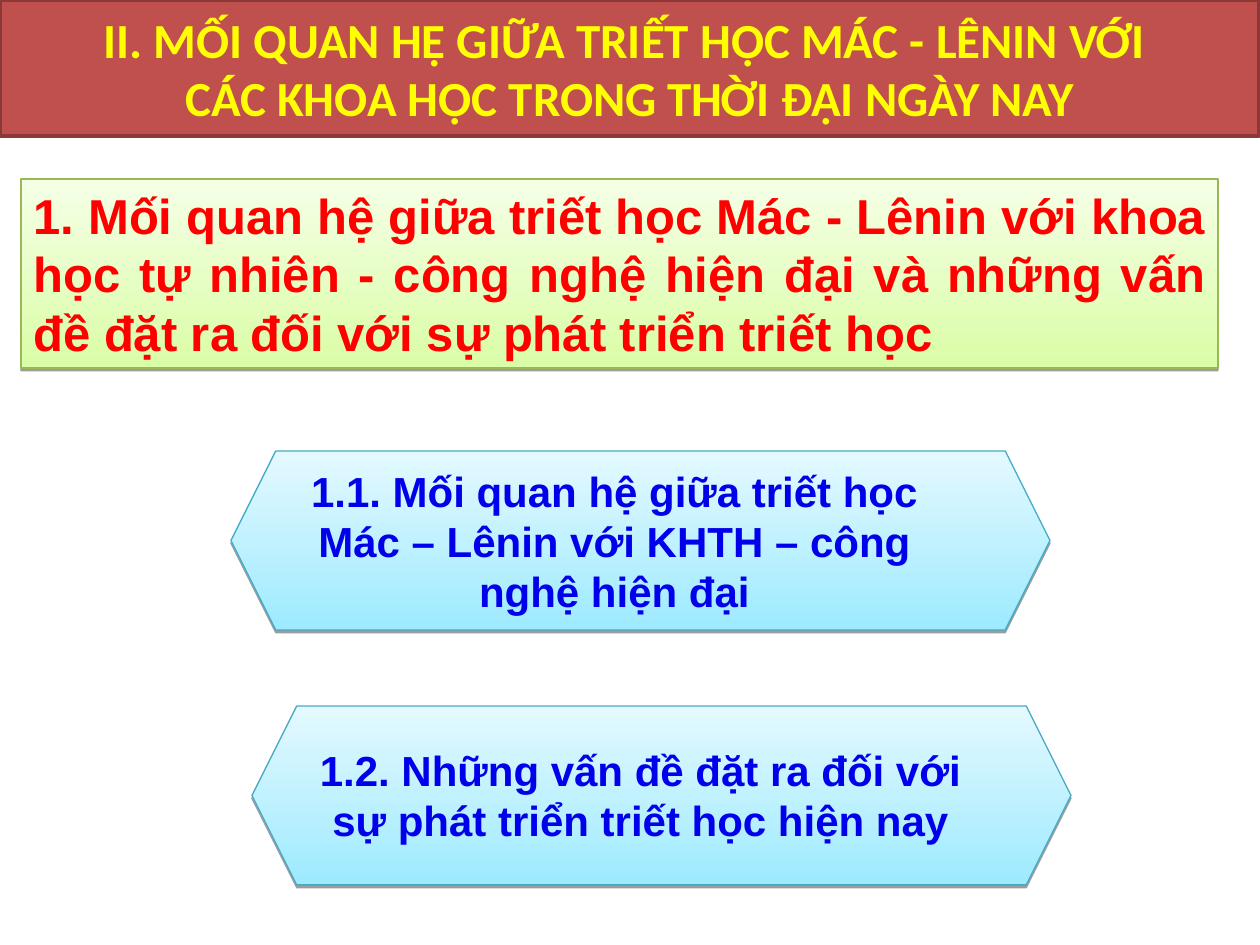
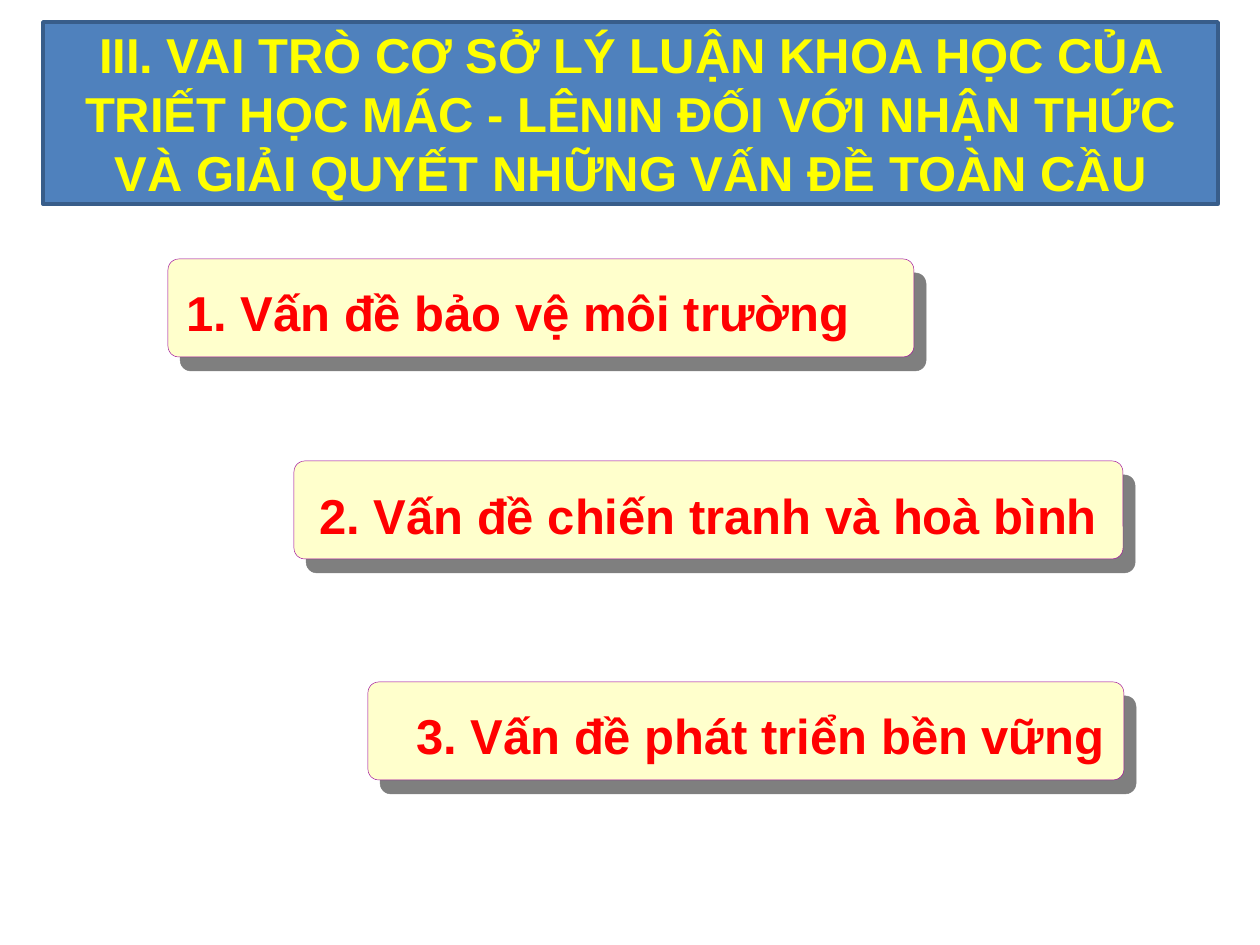
from lxml.etree import SubElement
from pptx import Presentation
from pptx.dml.color import RGBColor
from pptx.enum.shapes import MSO_SHAPE
from pptx.enum.text import MSO_ANCHOR, PP_ALIGN
from pptx.oxml.ns import qn
from pptx.util import Emu, Pt

PX = 914400 / 126
COLORS = {
    "title": "FFFF00", "red_band": "C0504D", "red_edge": "8C3836",
    "blue_band": "4F81BD", "blue_edge": "385D8A",
    "heading": "FF0000", "green_low": "DAFDA7", "green_high": "F5FFE6", "green_edge": "98B954",
    "topic": "0000EA", "sky_low": "9EEAFF", "sky_high": "E4F9FF", "sky_edge": "46AAC5",
    "card": "FFFFCC", "card_edge": "990099", "shadow": "000000",
}


def color(name):
    """Return the palette colour of that name."""
    return RGBColor.from_string(COLORS[name])


def emu(*lengths):
    """Turn px lengths into EMU."""
    return [Emu(round(length * PX)) for length in lengths]


def add_shadow(shape, opacity, distance, angle):
    """Give the shape a sharp offset shadow; opacity in percent, distance in points."""
    effects = shape._element.spPr.find(qn("a:effectLst"))
    outer = SubElement(effects, qn("a:outerShdw"), blurRad="0", dist=str(Pt(distance)),
                       dir=str(angle * 60000), algn="ctr", rotWithShape="0")
    tint = SubElement(outer, qn("a:srgbClr"), val=COLORS["shadow"])
    SubElement(tint, qn("a:alpha"), val=str(opacity * 1000))


def add_panel(page, box, kind, fills, edge, width):
    """Add a preset shape with one fill colour, or a gradient from bottom to top."""
    shape = page.shapes.add_shape(kind, *emu(*box))
    shape.shadow.inherit = False
    if len(fills) == 1:
        shape.fill.solid()
        shape.fill.fore_color.rgb = color(fills[0])
    else:
        shape.fill.gradient()
        shape.fill.gradient_angle = 90
        for stop, name in zip(shape.fill.gradient_stops, fills):
            stop.color.rgb = color(name)
    shape.line.color.rgb = color(edge)
    shape.line.width = Pt(width)
    return shape


def write(shape, lines, size, ink, align, font="Arial", anchor=MSO_ANCHOR.TOP):
    """Write bold paragraphs into the shape."""
    frame = shape.text_frame
    frame.word_wrap = True
    frame.vertical_anchor = anchor
    frame.text = "\n".join(lines)
    for para in frame.paragraphs:
        para.alignment = align
        para.font.name = font
        para.font.size = Pt(size)
        para.font.bold = True
        para.font.color.rgb = color(ink)


def add_label(page, box, inset, text, size, ink, align):
    """Add a text box whose inset (left, top, width, height) is relative to the box."""
    left, top, width, height = inset
    label = page.shapes.add_textbox(*emu(box[0] + left, box[1] + top, width, height))
    write(label, [text], size, ink, align)


def add_title(page, box, lines, fill, edge, font):
    """Add the title band."""
    band = add_panel(page, box, MSO_SHAPE.RECTANGLE, [fill], edge, 2)
    write(band, lines, 28, "title", PP_ALIGN.CENTER, font, MSO_ANCHOR.MIDDLE)


def add_heading(page, box, text):
    """Add the green section heading."""
    panel = add_panel(page, box, MSO_SHAPE.RECTANGLE, ["green_low", "green_high"], "green_edge", 0.75)
    add_shadow(panel, 38, 1.6, 90)
    write(panel, [text], 28, "heading", PP_ALIGN.JUSTIFY)


def add_topic(page, box, inset, text):
    """Add a hexagon with its topic."""
    hexagon = add_panel(page, box, MSO_SHAPE.HEXAGON, ["sky_low", "sky_high"], "sky_edge", 0.75)
    add_shadow(hexagon, 38, 1.6, 90)
    add_label(page, box, inset, text, 24, "topic", PP_ALIGN.CENTER)


def add_card(page, box, inset, text):
    """Add a rounded card with its issue."""
    card = add_panel(page, box, MSO_SHAPE.ROUNDED_RECTANGLE, ["card"], "card_edge", 0.25)
    card.adjustments[0] = 0.11
    add_shadow(card, 50, 10.6, 49)
    add_label(page, box, inset, text, 28, "heading", PP_ALIGN.LEFT)


def build_relations(page):
    """Build the slide on philosophy and the sciences."""
    add_title(page, (0, 0, 1259, 136),
              ["II. MỐI QUAN HỆ GIỮA TRIẾT HỌC MÁC - LÊNIN VỚI ",
               "CÁC KHOA HỌC TRONG THỜI ĐẠI NGÀY NAY"],
              "red_band", "red_edge", "Calibri")
    add_heading(page, (21, 179, 1197, 189),
                "1. Mối quan hệ giữa triết học Mác - Lênin với khoa học tự nhiên - công nghệ "
                "hiện đại và những vấn đề đặt ra đối với sự phát triển triết học")
    add_topic(page, (231, 451, 819, 179), (42, 8, 683, 164),
              "1.1. Mối quan hệ giữa triết học Mác – Lênin với KHTH – công nghệ hiện đại")
    add_topic(page, (252, 706, 819, 179), (42, 32, 693, 113),
              "1.2. Những vấn đề đặt ra đối với sự phát triển triết học hiện nay")


def build_issues(page):
    """Build the slide on global issues."""
    add_title(page, (43, 22, 1175, 182),
              ["III. VAI TRÒ CƠ SỞ LÝ LUẬN KHOA HỌC CỦA TRIẾT HỌC MÁC - LÊNIN "
               "ĐỐI VỚI NHẬN THỨC VÀ GIẢI QUYẾT NHỮNG VẤN ĐỀ TOÀN CẦU"],
              "blue_band", "blue_edge", "Arial")
    add_card(page, (168, 259, 746, 98), (6, 17, 698, 72), "1. Vấn đề bảo vệ môi trường")
    add_card(page, (294, 461, 829, 98), (13, 18, 815, 72), "2. Vấn đề chiến tranh và hoà bình")
    add_card(page, (368, 682, 756, 98), (36, 17, 751, 72), "3. Vấn đề phát triển bền vững")


def main():
    """Build and save the deck."""
    deck = Presentation()
    deck.slide_width, deck.slide_height = emu(1260, 945)
    for build in (build_relations, build_issues):
        build(deck.slides.add_slide(deck.slide_layouts[6]))
    deck.save("out.pptx")


if __name__ == "__main__":
    main()
